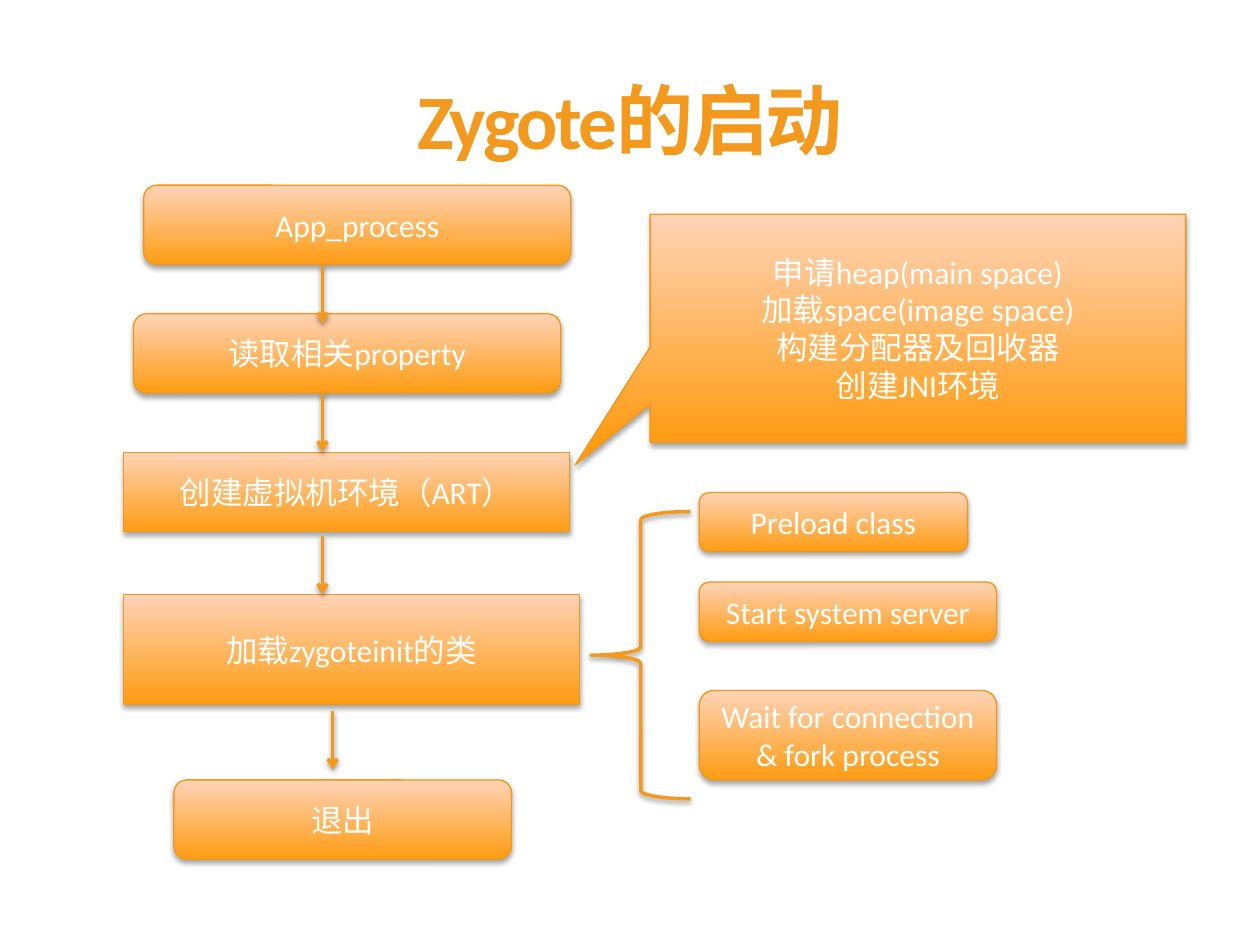
"""Builds a slide showing the steps of the Zygote start-up."""
from lxml import etree
from pptx import Presentation
from pptx.dml.color import RGBColor
from pptx.enum.shapes import MSO_CONNECTOR, MSO_SHAPE
from pptx.enum.text import MSO_ANCHOR, PP_ALIGN
from pptx.oxml.ns import qn
from pptx.util import Inches, Pt

ROUNDED = MSO_SHAPE.ROUNDED_RECTANGLE
RECTANGLE = MSO_SHAPE.RECTANGLE
CALLOUT = MSO_SHAPE.RECTANGULAR_CALLOUT
BRACE = MSO_SHAPE.LEFT_BRACE
STRAIGHT = MSO_CONNECTOR.STRAIGHT
TOP, MIDDLE = MSO_ANCHOR.TOP, MSO_ANCHOR.MIDDLE
CENTER = PP_ALIGN.CENTER

ACCENT = "F39A1E"
BORDER = "F39718"
GRADIENT = ("FF9C12", "FFD3B7")
TITLE_FONT = {"name": "Calibri", "size": Pt(44), "bold": True}
BODY_FONT = {"name": "Calibri", "size": Pt(18)}

ARROW_X = 2.56
ARROW_LENGTH = 0.47
STEP_HEIGHT = 0.63
TASK_LEFT = 5.55

STEPS = [
    (ROUNDED, (1.14, 1.47, 3.39, STEP_HEIGHT), ["App_process"]),
    (ROUNDED, (1.06, 2.49, 3.39, STEP_HEIGHT), ["读取相关property"]),
    (RECTANGLE, (0.98, 3.59, 3.54, STEP_HEIGHT), ["创建虚拟机环境（ART）"]),
    (RECTANGLE, (0.98, 4.72, 3.62, 0.87), ["加载zygoteinit的类"]),
    (ROUNDED, (1.38, 6.19, 2.68, STEP_HEIGHT), ["退出"]),
]
ARROWS = [(ARROW_X, 2.1), (ARROW_X, 3.12), (ARROW_X, 4.25), (2.64, 5.64)]
TASKS = [
    (3.91, 2.13, 0.47, ["Preload class"]),
    (4.62, 2.36, 0.47, ["Start system server"]),
    (5.48, 2.36, 0.71, ["Wait for connection", "& fork process"]),
]
RUNTIME_NOTES = [
    "申请heap(main space)",
    "加载space(image space)",
    "构建分配器及回收器",
    "创建JNI环境",
]


def color(value):
    return RGBColor.from_string(value)


class SlideBuilder:
    """Holds the style and the current slide."""

    def __init__(self, slide):
        self.slide = slide

    def add_lines(self, shape, lines, font, font_color, anchor):
        frame = shape.text_frame
        frame.word_wrap = True
        frame.vertical_anchor = anchor
        for index, line in enumerate(lines):
            para = frame.paragraphs[0] if index == 0 else frame.add_paragraph()
            para.alignment = CENTER
            span = para.add_run()
            span.text = line
            for name, value in font.items():
                setattr(span.font, name, value)
            span.font.color.rgb = color(font_color)
        return frame

    def outline(self, shape, line_color, width):
        shape.line.color.rgb = color(line_color)
        shape.line.width = Pt(width)

    def shadow(self, shape, distance, opacity):
        properties = shape._element.spPr
        effects = properties.find(qn("a:effectLst"))
        if effects is None:
            effects = etree.SubElement(properties, qn("a:effectLst"))
        outer = etree.SubElement(
            effects, qn("a:outerShdw"), blurRad=str(Pt(3.1)),
            dist=str(Pt(distance)), dir="5400000", rotWithShape="0")
        black = etree.SubElement(outer, qn("a:srgbClr"), val="000000")
        etree.SubElement(black, qn("a:alpha"), val=str(opacity * 1000))

    def title(self, place, text):
        box = self.slide.shapes.add_textbox(*map(Inches, place))
        frame = self.add_lines(box, [text], TITLE_FONT, ACCENT, TOP)
        para = frame.paragraphs[0]
        para.line_spacing = 0.8
        para.runs[0]._r.get_or_add_rPr().set("spc", "-150")

    def box(self, kind, place, lines):
        shape = self.slide.shapes.add_shape(kind, *map(Inches, place))
        shape.shadow.inherit = False
        shape.fill.gradient()
        shape.fill.gradient_angle = 90
        for stop, value in zip(shape.fill.gradient_stops, GRADIENT):
            stop.color.rgb = color(value)
        self.outline(shape, BORDER, 0.75)
        self.shadow(shape, 1.8, 35)
        self.add_lines(shape, lines, BODY_FONT, "FFFFFF", MIDDLE)
        return shape

    def callout(self, place, lines, tip):
        shape = self.box(CALLOUT, place, lines)
        for index, value in enumerate(tip):
            shape.adjustments[index] = value

    def arrow(self, x, top):
        ends = map(Inches, (x, top, x, top + ARROW_LENGTH))
        line = self.slide.shapes.add_connector(STRAIGHT, *ends)
        self.outline(line, ACCENT, 2)
        etree.SubElement(line.line._get_or_add_ln(), qn("a:tailEnd"), type="arrow")
        self.shadow(line, 1.6, 38)

    def brace(self, place):
        shape = self.slide.shapes.add_shape(BRACE, *map(Inches, place))
        shape.shadow.inherit = False
        shape.fill.background()
        self.outline(shape, ACCENT, 2)
        self.shadow(shape, 1.6, 38)


def main():
    deck = Presentation()
    deck.slide_width, deck.slide_height = Inches(10), Inches(7.5)
    page = SlideBuilder(deck.slides.add_slide(deck.slide_layouts[6]))
    page.title((0.5, 0.67, 9, 1.24), "Zygote的启动")
    for step in STEPS:
        page.box(*step)
    for start in ARROWS:
        page.arrow(*start)
    page.brace((4.69, 4.06, 0.79, 2.28))
    for top, width, height, lines in TASKS:
        page.box(ROUNDED, (TASK_LEFT, top, width, height), lines)
    page.callout((5.16, 1.7, 4.25, 1.81), RUNTIME_NOTES, (-0.64, 0.6))
    deck.save("out.pptx")


if __name__ == "__main__":
    main()
